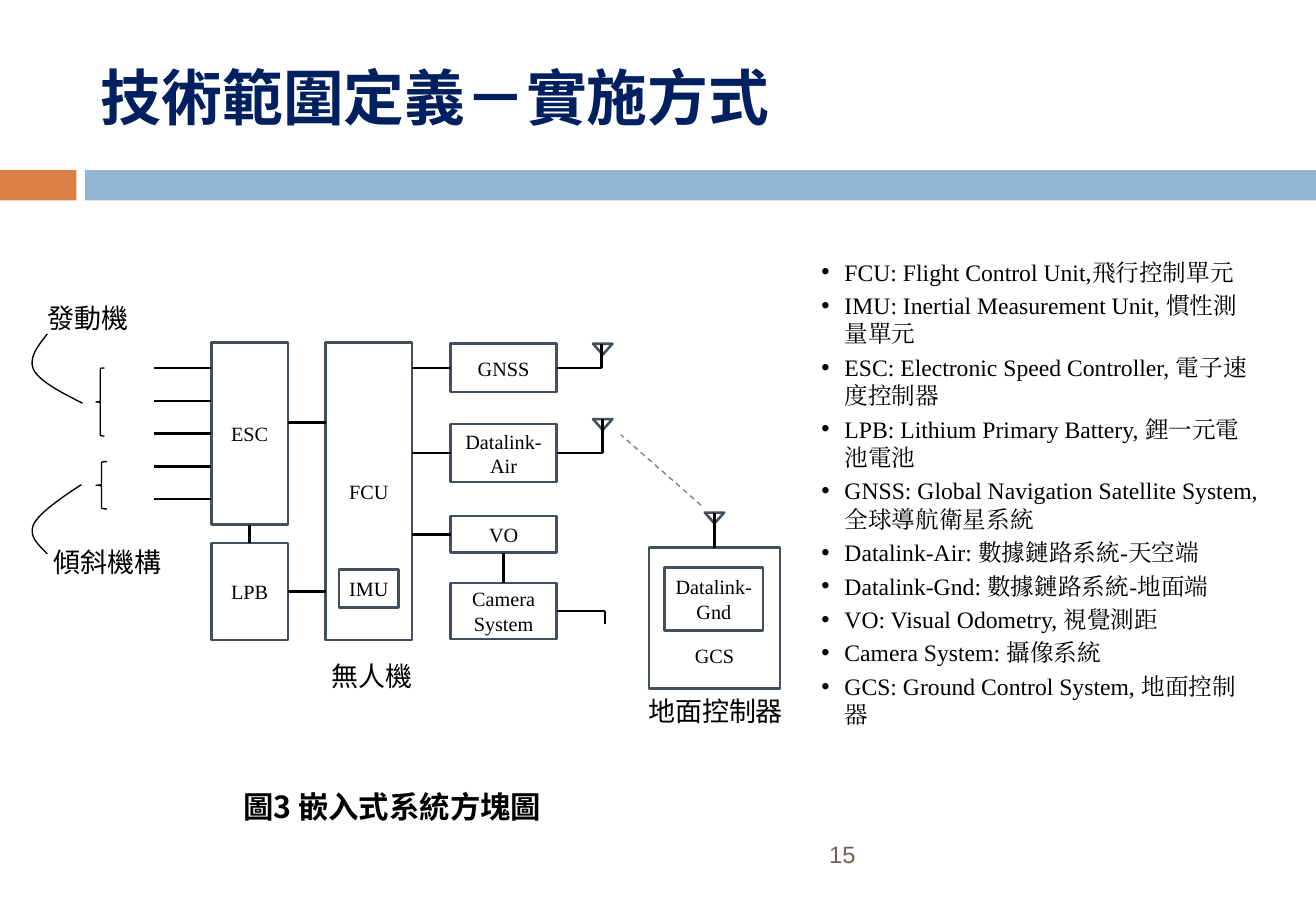
from lxml.etree import SubElement
from pptx import Presentation
from pptx.dml.color import RGBColor
from pptx.enum.dml import MSO_LINE
from pptx.enum.shapes import MSO_CONNECTOR, MSO_SHAPE
from pptx.enum.text import MSO_ANCHOR, PP_ALIGN
from pptx.oxml.ns import qn
from pptx.util import Pt

PX = 9144  # 100 px to the inch
SERIF, SANS = "Times New Roman", "Noto Sans CJK SC"
BLACK, WHITE, SLATE, GREY = "000000", "FFFFFF", "41505C", "808080"
TOP, LEFT, BOTTOM, RIGHT = range(4)
LEFT_ALIGN, CENTER, RIGHT_ALIGN = PP_ALIGN.LEFT, PP_ALIGN.CENTER, PP_ALIGN.RIGHT

BARS = [((0, 140, 63, 25), "DD8047"), ((70, 140, 1013, 25), "94B6D2")]

# text, place, size, font, colour, bold, alignment, anchor
LABELS = [
    ("技術範圍定義－實施方式", (83, 30, 946, 98), 36, "Calibri", "002060", True, LEFT_ALIGN, MSO_ANCHOR.MIDDLE),
    ("15", (82, 688, 622, 30), 14, "Arial", "775F55", False, RIGHT_ALIGN, MSO_ANCHOR.MIDDLE),
    ("圖3 嵌入式系統方塊圖", (200, 649, 301, 30), 18, SANS, BLACK, True, LEFT_ALIGN, MSO_ANCHOR.TOP),
    ("無人機", (221, 543, 170, 27), 16, SANS, BLACK, False, CENTER, MSO_ANCHOR.TOP),
    ("地面控制器", (504, 572, 170, 27), 16, SANS, BLACK, False, CENTER, MSO_ANCHOR.TOP),
    ("發動機", (34, 248, 77, 27), 16, SANS, BLACK, False, CENTER, MSO_ANCHOR.TOP),
    ("傾斜機構", (44, 449, 95, 27), 16, SANS, BLACK, False, LEFT_ALIGN, MSO_ANCHOR.TOP),
]

GLOSSARY_PLACE = (676, 212, 360, 368)
GLOSSARY = [
    "FCU: Flight Control Unit,飛行控制單元",
    "IMU: Inertial Measurement Unit, 慣性測量單元",
    "ESC: Electronic Speed Controller, 電子速度控制器",
    "LPB: Lithium Primary Battery, 鋰一元電池電池",
    "GNSS: Global Navigation Satellite System, 全球導航衛星系統",
    "Datalink-Air: 數據鏈路系統-天空端",
    "Datalink-Gnd: 數據鏈路系統-地面端",
    "VO: Visual Odometry, 視覺測距",
    "Camera System: 攝像系統",
    "GCS: Ground Control System, 地面控制器",
]

# name: place, lines of text
BLOCKS = {
    "FCU": ((268, 282, 71, 245), ["FCU"]),
    "Air": ((371, 349, 87, 48), ["Datalink- Air"]),
    "IMU": ((279, 469, 49, 31), ["IMU"]),
    "GNSS": ((371, 283, 87, 40), ["GNSS"]),
    "VO": ((371, 425, 87, 30), ["VO"]),
    "Camera": ((371, 480, 87, 46), ["Camera System"]),
    "LPB": ((174, 447, 63, 80), ["LPB"]),
    "ESC": ((174, 282, 63, 150), ["ESC"]),
    "GCS": ((534, 451, 108, 116), ["GCS"]),
    "Gnd": ((547, 467, 81, 52), ["Datalink-", "Gnd"]),
}

# An end is a point, or a block's name and the side it joins
WIRES = [
    (("GNSS", RIGHT), (495, 303)), ((495, 303), (495, 283)),
    (("Air", RIGHT), (496, 373)), ((496, 373), (496, 345)),
    (("Camera", RIGHT), (498, 503)), ((498, 503), (498, 514)),
    (("GCS", TOP), (588, 422)),
    ((237, 348), (268, 348)), (("LPB", RIGHT), (268, 487)),
    (("LPB", TOP), ("ESC", BOTTOM)), (("VO", BOTTOM), ("Camera", TOP)),
    ((339, 303), ("GNSS", LEFT)), ((339, 373), ("Air", LEFT)),
    ((339, 440), ("VO", LEFT)),
]
MOTOR_WIRES = [((127, 303 + 27 * row), (174, 303 + 27 * row)) for row in range(5)]
MOTOR_WIRES[2] = (MOTOR_WIRES[2][0], ("ESC", LEFT))
RADIO_LINK = ((577, 416), (511, 358))

ANTENNAS = [(488, 283), (488, 345), (580, 422)]
BRACES = [(79, 303, 7, 56), (79, 380, 9, 39)]
LEADERS = [
    [(68, 332), (50, 323), (33, 314), (28, 305), (23, 295), (31, 285), (39, 275)],
    [(67, 399), (50, 410), (33, 422), (28, 431), (23, 441), (31, 448), (39, 456)],
]

presentation = Presentation()
presentation.slide_width, presentation.slide_height = 1083 * PX, 750 * PX
slide = presentation.slides.add_slide(presentation.slide_layouts[6])


def color(value):
    return RGBColor.from_string(value)


def emu(values):
    return [value * PX for value in values]


def add_run(paragraph, text, size, font, text_color=BLACK, bold=False):
    run = paragraph.add_run()
    run.text = text
    run.font.size, run.font.name, run.font.bold = Pt(size), font, bold
    run.font.color.rgb = color(text_color)
    SubElement(run.font._element, qn("a:ea"), typeface=font)


def prepare_frame(shape, anchor, margin=0):
    frame = shape.text_frame
    frame.word_wrap, frame.vertical_anchor = True, anchor
    frame.margin_left = frame.margin_right = margin * PX
    frame.margin_top = frame.margin_bottom = margin * PX
    return frame


def fill_paragraphs(frame, lines):
    """Yield each line with a paragraph of its own."""
    for index, line in enumerate(lines):
        yield line, frame.add_paragraph() if index else frame.paragraphs[0]


def style_shape(shape, fill=None, line=None, width=1.5):
    shape.shadow.inherit = False
    if fill:
        shape.fill.solid()
        shape.fill.fore_color.rgb = color(fill)
    else:
        shape.fill.background()
    if line:
        shape.line.color.rgb, shape.line.width = color(line), Pt(width)
    else:
        shape.line.fill.background()


def add_shape(kind, place, **style):
    shape = slide.shapes.add_shape(kind, *emu(place))
    style_shape(shape, **style)
    return shape


def find_point(end):
    """Return the point in px that a wire's end stands for."""
    if end[0] not in BLOCKS:
        return end
    x, y, width, height = BLOCKS[end[0]][0]
    return [(x + width / 2, y), (x, y + height / 2),
            (x + width / 2, y + height), (x + width, y + height / 2)][end[1]]


def add_wire(begin, end, line=BLACK, width=1.5):
    points = [round(value * PX) for value in (*find_point(begin), *find_point(end))]
    wire = slide.shapes.add_connector(MSO_CONNECTOR.STRAIGHT, *points)
    for target, join in ((begin, wire.begin_connect), (end, wire.end_connect)):
        if target[0] in BLOCKS:
            join(block_shapes[target[0]], target[1])
    wire.line.color.rgb, wire.line.width = color(line), Pt(width)
    SubElement(wire._element.spPr, qn("a:effectLst"))
    return wire


def trace_curve(points, steps=12):
    """Return points in EMU along joined cubic Bezier curves."""
    traced = [tuple(emu(points[0]))]
    for first in range(0, len(points) - 1, 3):
        for step in range(1, steps + 1):
            t = step / steps
            weights = ((1 - t) ** 3, 3 * t * (1 - t) ** 2, 3 * t * t * (1 - t), t ** 3)
            corners = zip(*points[first:first + 4])
            traced.append(tuple(round(PX * sum(w * c for w, c in zip(weights, axis))) for axis in corners))
    return traced


for place, fill in BARS:
    add_shape(MSO_SHAPE.RECTANGLE, place, fill=fill)

for text, place, size, font, text_color, bold, alignment, anchor in LABELS:
    paragraph = prepare_frame(slide.shapes.add_textbox(*emu(place)), anchor).paragraphs[0]
    paragraph.alignment = alignment
    add_run(paragraph, text, size, font, text_color, bold)

block_shapes = {}
for name, (place, lines) in BLOCKS.items():
    block = add_shape(MSO_SHAPE.RECTANGLE, place, fill=WHITE, line=SLATE)
    frame = prepare_frame(block, MSO_ANCHOR.MIDDLE, 5)
    for line, paragraph in fill_paragraphs(frame, lines):
        paragraph.alignment = CENTER
        add_run(paragraph, line, 12, SERIF)
    block_shapes[name] = block
gcs_frame = block_shapes["GCS"].text_frame
gcs_frame.vertical_anchor, gcs_frame.margin_bottom = MSO_ANCHOR.BOTTOM, 17 * PX

for x, y in ANTENNAS:
    add_shape(MSO_SHAPE.ISOSCELES_TRIANGLE, (x, y, 16, 9), line=SLATE).rotation = 180
for begin, end in WIRES + MOTOR_WIRES:
    add_wire(begin, end)
add_wire(*RADIO_LINK, line=GREY, width=0.79).line.dash_style = MSO_LINE.DASH

for place in BRACES:
    add_shape(MSO_SHAPE.LEFT_BRACE, place, line=BLACK, width=0.79)
for points in LEADERS:
    start, *rest = trace_curve(points)
    builder = slide.shapes.build_freeform(*start)
    builder.add_line_segments(rest, close=False)
    style_shape(builder.convert_to_shape(), line=BLACK, width=0.79)

frame = prepare_frame(slide.shapes.add_textbox(*emu(GLOSSARY_PLACE)), MSO_ANCHOR.TOP)
for entry, paragraph in fill_paragraphs(frame, GLOSSARY):
    properties = paragraph._p.get_or_add_pPr()
    properties.set("marL", str(19 * PX))
    properties.set("indent", str(-19 * PX))
    paragraph.space_after = Pt(3)
    SubElement(properties, qn("a:buFont"), typeface="Arial")
    SubElement(properties, qn("a:buChar"), char="•")
    add_run(paragraph, entry, 14, SERIF)

presentation.save("out.pptx")
